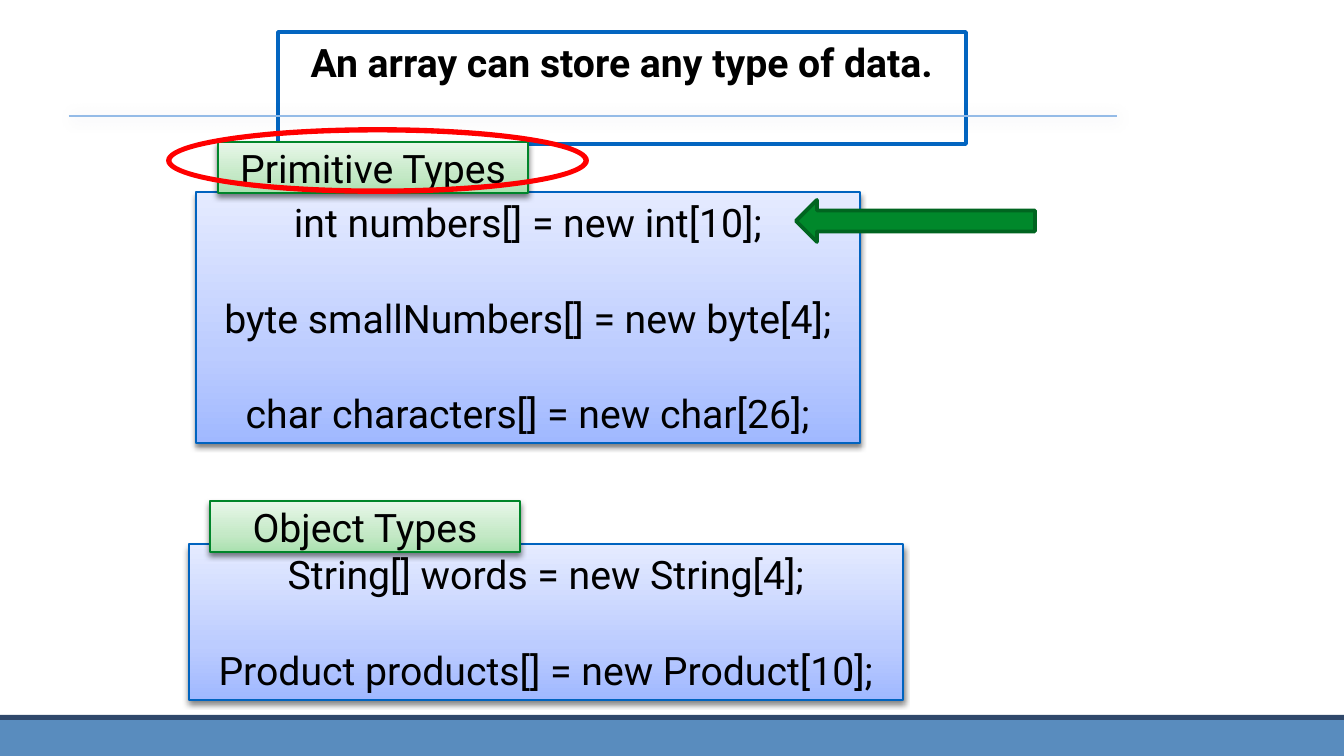
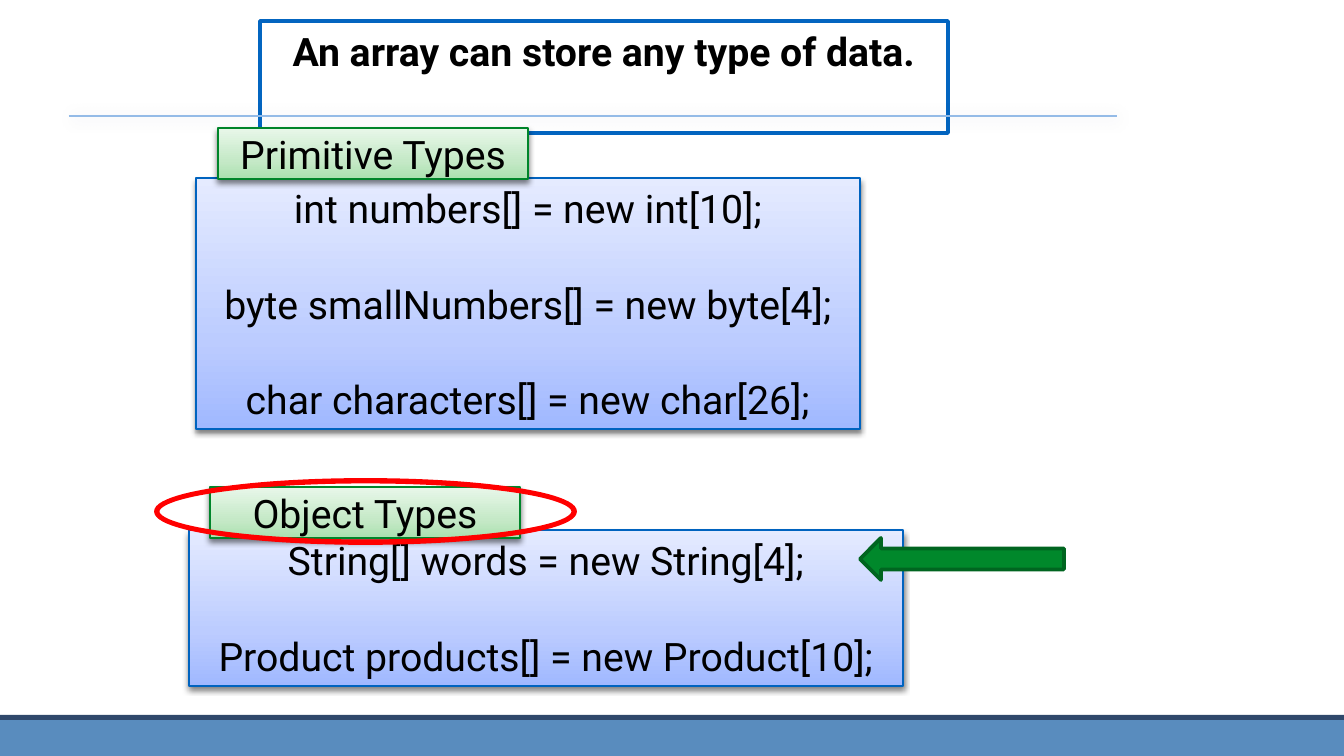
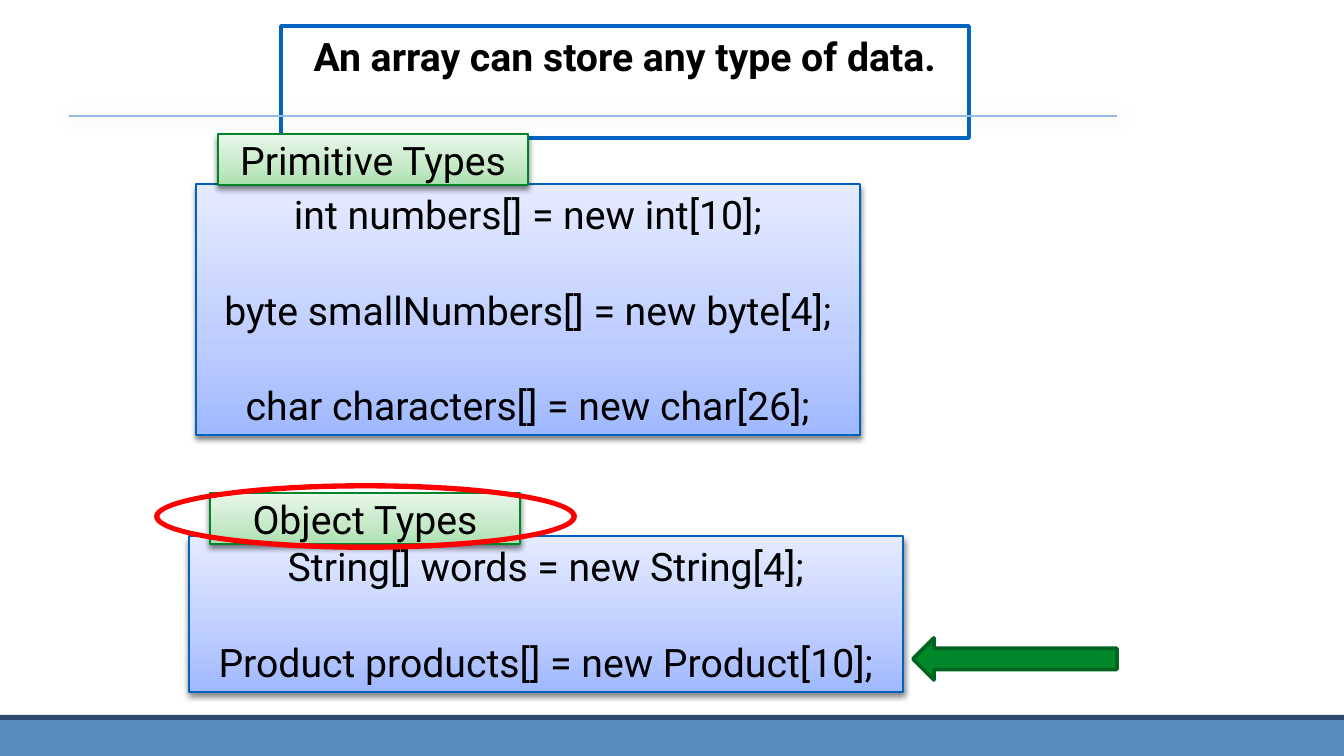
from copy import deepcopy

from lxml import etree
from pptx import Presentation
from pptx.dml.color import RGBColor
from pptx.enum.shapes import MSO_CONNECTOR, MSO_SHAPE
from pptx.enum.text import MSO_ANCHOR, MSO_AUTO_SIZE, PP_ALIGN
from pptx.oxml.ns import qn
from pptx.util import Pt

RECT, DONUT, ARROW = MSO_SHAPE.RECTANGLE, MSO_SHAPE.DONUT, MSO_SHAPE.RIGHT_ARROW
STRAIGHT = MSO_CONNECTOR.STRAIGHT
TOP, MIDDLE = MSO_ANCHOR.TOP, MSO_ANCHOR.MIDDLE
GROW, FIXED = MSO_AUTO_SIZE.SHAPE_TO_FIT_TEXT, MSO_AUTO_SIZE.NONE
CENTER = PP_ALIGN.CENTER

SCALE = 914400 / 134.4
FONT = "Roboto"
TITLE = "An array can store any type of data."
COLORS = {
    "text": "000000", "white": "FFFFFF", "frame": "0365C0",
    "band": "598CBE", "edge": "2F486B", "rule": "94BBE7", "glow": "003D62",
    "box": "0063BF", "tag": "00852A", "ring": "FF0000",
    "arrow": "00882B", "rim": "006520",
}
# Gradient stops, from bottom to top
FADES = {
    "box": ((0, "A0B8FF"), (0.35, "BCCCFF"), (1, "E5EBFF")),
    "tag": ((0, "AAE1AF"), (0.35, "C5E9C7"), (1, "E8F7E9")),
}
# Tag text, tag left, tag drop, box left, box drop, box width, box height, code
GROUPS = (
    ("Primitive Types", 218, 0, 196, 50, 664, 251,
     ("int numbers[] = new int[10];", "byte smallNumbers[] = new byte[4];",
      "char characters[] = new char[26];")),
    ("Object Types", 210, 359, 189, 402, 714, 156,
     ("String[] words = new String[4];", "Product products[] = new Product[10];")),
)
# Title corner, top of the groups, ring corner, arrow left, top and width
SLIDES = (
    ((278, 32), 142, (168, 129), (796, 200, 239)),
    ((260, 21), 128, (156, 480), (860, 538, 204)),
    ((281, 26), 134, (156, 485), (913, 638, 204)),
)


def px(n):
    return round(n * SCALE)


def rgb(name):
    return RGBColor.from_string(COLORS[name])


def write(shape, lines, bold=False, anchor=TOP, size=21, gap=0, wrap=True, fit=FIXED):
    frame = shape.text_frame
    frame.word_wrap = wrap
    frame.auto_size = fit
    frame.vertical_anchor = anchor
    frame.text = "\n".join(lines)
    for i, para in enumerate(frame.paragraphs):
        para.alignment = CENTER
        para.space_before = Pt(gap if i else 0)
        font = para.runs[0].font
        font.name, font.size, font.bold = FONT, Pt(size), bold
        font.color.rgb = rgb("text")


def shade(shape, color=None, alpha=50, blur=3, dist=2, angle=90):
    """Replace the theme shadow by the given one, or by none."""
    effects = etree.SubElement(shape._element.spPr, qn("a:effectLst"))
    if color:
        drop = etree.SubElement(
            effects, qn("a:outerShdw"), blurRad=str(Pt(blur)), dist=str(Pt(dist)),
            dir=str(angle * 60000), algn="ctr", rotWithShape="0")
        tint = etree.SubElement(drop, qn("a:srgbClr"), val=COLORS[color])
        etree.SubElement(tint, qn("a:alpha"), val=str(alpha * 1000))


def paint(shape, fill, line=None, width=2.0):
    shape.fill.solid()
    shape.fill.fore_color.rgb = rgb(fill)
    stroke(shape, line, width)


def stroke(shape, line, width):
    if line:
        shape.line.color.rgb = rgb(line)
        shape.line.width = Pt(width)
    else:
        shape.line.fill.background()


def fade(shape, name):
    fill = shape.fill
    fill.gradient()
    fill.gradient_angle = 90
    stops = shape._element.spPr.find(".//" + qn("a:gsLst"))
    stops.insert(1, deepcopy(stops[0]))
    for stop, (place, color) in zip(fill.gradient_stops, FADES[name]):
        stop.position = place
        stop.color.rgb = RGBColor.from_string(color)


def add(slide, kind, x, y, w, h):
    return slide.shapes.add_shape(kind, px(x), px(y), px(w), px(h))


def plain(slide, kind, x, y, w, h, fill, line=None):
    shape = add(slide, kind, x, y, w, h)
    paint(shape, fill, line)
    shade(shape)
    return shape


def panel(slide, x, y, w, h, name):
    shape = add(slide, RECT, x, y, w, h)
    fade(shape, name)
    stroke(shape, name, 0.75)
    shade(shape, "text")
    return shape


def base(slide):
    """Footer bands and the rule below the title."""
    plain(slide, RECT, 0, 720, 1344, 36, "band")
    plain(slide, RECT, 0, 715, 1344, 5, "edge")
    rule = slide.shapes.add_connector(STRAIGHT, px(69), px(116), px(1117), px(116))
    stroke(rule, "rule", 1)
    shade(rule, "glow", alpha=20, blur=8, dist=1, angle=45)


def head(slide, x, y):
    title = slide.shapes.title
    title.left, title.top, title.width, title.height = map(px, (x, y, 688, 67))
    outline = etree.SubElement(title._element.spPr, qn("a:prstGeom"), prst="roundRect")
    etree.SubElement(outline, qn("a:avLst"))
    paint(title, "white", "frame")
    write(title, [TITLE], bold=True, fit=GROW)


def group(slide, top, name, left, drop, x, y, w, h, code):
    box = panel(slide, x, top + y, w, h, "box")
    write(box, code, gap=26, wrap=False, fit=GROW)
    tag = panel(slide, left, top + drop, 310, 51, "tag")
    write(tag, [name], anchor=MIDDLE)


def mark(slide, ring, arrow):
    """Ring around the current tag and arrow to the current line."""
    x, y = ring
    hoop = plain(slide, DONUT, x, y, 419, 63, "ring", "ring")
    hoop.adjustments[0] = 0.026
    x, y, w = arrow
    hand = plain(slide, ARROW, x, y, w, 42, "arrow", "rim")
    hand._element.spPr.xfrm.set("flipH", "1")


def main():
    deck = Presentation()
    deck.slide_width, deck.slide_height = px(1344), px(756)
    layout = deck.slide_layouts.get_by_name("Title Only")
    for corner, top, ring, arrow in SLIDES:
        slide = deck.slides.add_slide(layout)
        base(slide)
        head(slide, *corner)
        for item in GROUPS:
            group(slide, top, *item)
        mark(slide, ring, arrow)
    deck.save("out.pptx")


if __name__ == "__main__":
    main()
